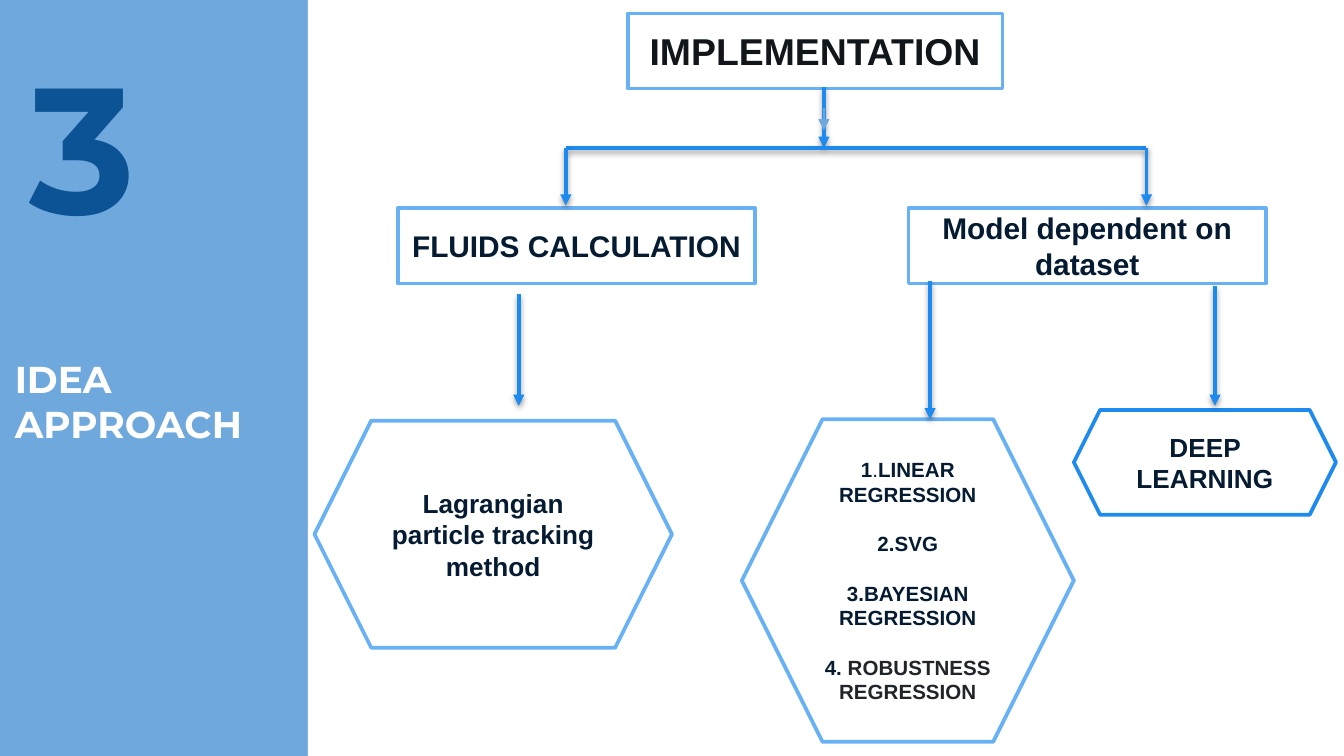
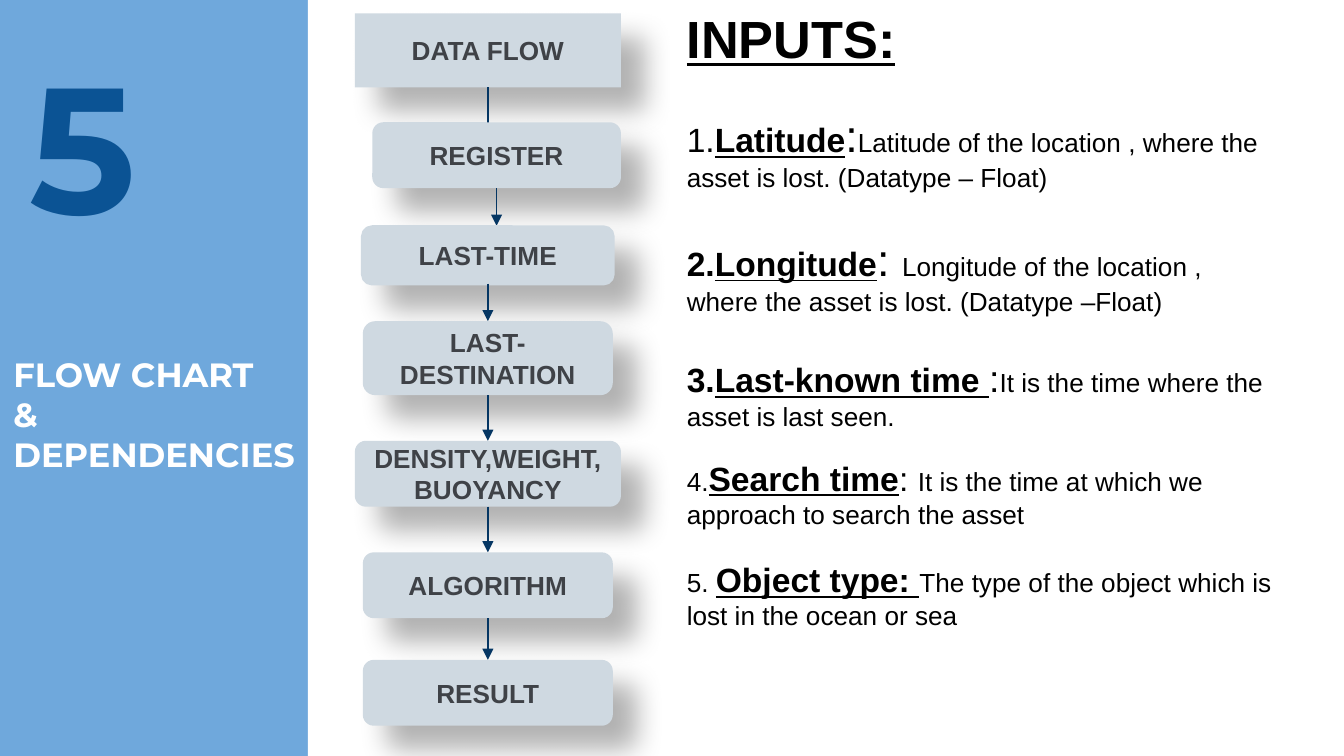
"""Build two slides on search-and-rescue modelling: an idea tree and a data flow with its inputs."""
from dataclasses import dataclass
from typing import Optional

from lxml.etree import SubElement
from pptx import Presentation
from pptx.dml.color import RGBColor
from pptx.enum.shapes import MSO_CONNECTOR as Connector, MSO_SHAPE as Preset
from pptx.enum.text import MSO_ANCHOR as Anchor, MSO_AUTO_SIZE as AutoSize, PP_ALIGN as Align
from pptx.oxml.ns import qn
from pptx.shapes.autoshape import Shape
from pptx.shapes.connector import Connector as ConnectorShape
from pptx.slide import Slide
from pptx.text.text import TextFrame
from pptx.util import Inches, Pt

SLIDE_WIDTH = 10
SLIDE_HEIGHT = SLIDE_WIDTH * 9 / 16


@dataclass(frozen=True)
class Theme:
    side_band: str = "6FA8DC"
    panel: str = "FFFFFF"
    heading: str = "FFFFFF"
    number: str = "0B5394"
    frame: str = "68B1F4"
    accent: str = "1D8AEF"
    headline: str = "11161B"
    ink: str = "041B31"
    soft_ink: str = "212529"
    step: str = "CFD9E1"
    step_ink: str = "3F4247"
    step_arrow: str = "053663"
    black: str = "000000"
    display_font: str = "Montserrat"
    text_font: str = "Arial"
    number_size: float = 96
    inputs_size: float = 28
    large: float = 20
    term: float = 18
    branch: float = 16
    normal: float = 14
    small: float = 11
    colon: float = 24
    thick: float = 2
    thin: float = 0.75


THEME = Theme()


@dataclass(frozen=True)
class Box:
    left: float
    top: float
    width: float
    height: float

    def lengths(self) -> tuple[Inches, ...]:
        return tuple(Inches(v) for v in (self.left, self.top, self.width, self.height))


@dataclass(frozen=True)
class Run:
    text: str
    size: float
    color: str = THEME.ink
    bold: bool = True
    underline: bool = False
    font: str = THEME.text_font


@dataclass(frozen=True)
class Para:
    runs: tuple[Run, ...]
    gap: float = 0
    align: Align = Align.CENTER


@dataclass(frozen=True)
class Shadow:
    opacity: int
    blur: float
    distance: float
    angle: int


@dataclass(frozen=True)
class Node:
    box: Box
    paras: tuple[Para, ...]
    preset: Preset = Preset.RECTANGLE
    fill: str = THEME.panel
    line: Optional[str] = THEME.frame
    shadow: Optional[Shadow] = None


@dataclass(frozen=True)
class Link:
    start: tuple[float, float]
    end: tuple[float, float]
    color: str = THEME.accent
    width: float = THEME.thick
    head: bool = True
    shadow: Optional[Shadow] = Shadow(38, 3.1, 1.6, 90)


@dataclass(frozen=True)
class Step:
    label: str
    box: Box
    preset: Preset = Preset.ROUNDED_RECTANGLE
    line: Optional[str] = None
    loose_tip: Optional[float] = None


STEP_SHADOW = Shadow(30, 15, 18, 45)


def rgb(color: str) -> RGBColor:
    return RGBColor.from_string(color)


def set_effects(shape: Shape | ConnectorShape, shadow: Optional[Shadow]) -> None:
    properties = shape._element.spPr
    effects = SubElement(properties, qn("a:effectLst"))
    if shadow is None:
        return
    outer = SubElement(effects, qn("a:outerShdw"), blurRad=str(Pt(shadow.blur)),
                       dist=str(Pt(shadow.distance)), dir=str(shadow.angle * 60000),
                       algn="bl", rotWithShape="0")
    tint = SubElement(outer, qn("a:srgbClr"), val=THEME.black)
    SubElement(tint, qn("a:alpha"), val=str(shadow.opacity * 1000))


def write(frame: TextFrame, paras: tuple[Para, ...], anchor: Anchor) -> None:
    frame.word_wrap = True
    frame.auto_size = AutoSize.NONE
    frame.vertical_anchor = anchor
    for index, para in enumerate(paras):
        paragraph = frame.add_paragraph() if index else frame.paragraphs[0]
        paragraph.alignment = para.align
        paragraph.space_before = Pt(para.gap)
        for part in para.runs:
            for row, line in enumerate(part.text.split("\n")):
                if row:
                    paragraph.add_line_break()
                run = paragraph.add_run()
                run.text = line
                run.font.name = part.font
                run.font.size = Pt(part.size)
                run.font.bold = part.bold
                run.font.underline = part.underline
                run.font.color.rgb = rgb(part.color)


def place(shape: Shape, box: Box) -> None:
    shape.left, shape.top, shape.width, shape.height = box.lengths()


def pad(frame: TextFrame) -> None:
    frame.margin_left = frame.margin_right = Inches(0.1)
    frame.margin_top = frame.margin_bottom = Inches(0.1)


def draw_node(slide: Slide, node: Node) -> Shape:
    shape = slide.shapes.add_shape(node.preset, *node.box.lengths())
    shape.fill.solid()
    shape.fill.fore_color.rgb = rgb(node.fill)
    if node.line:
        shape.line.color.rgb = rgb(node.line)
        shape.line.width = Pt(THEME.thick)
    else:
        shape.line.fill.background()
    set_effects(shape, node.shadow)
    if node.paras:
        write(shape.text_frame, node.paras, Anchor.MIDDLE)
    return shape


def draw_link(slide: Slide, link: Link) -> ConnectorShape:
    ends = (Inches(v) for v in (*link.start, *link.end))
    connector = slide.shapes.add_connector(Connector.STRAIGHT, *ends)
    connector.line.color.rgb = rgb(link.color)
    connector.line.width = Pt(link.width)
    if link.head:
        SubElement(connector.line._get_or_add_ln(), qn("a:tailEnd"), type="triangle")
    set_effects(connector, link.shadow)
    return connector


def draw_section(slide: Slide, number: str, title: str, title_box: Box, title_size: float) -> None:
    panel_box = Box(2.29, 0, SLIDE_WIDTH - 2.29, SLIDE_HEIGHT)
    panel = draw_node(slide, Node(panel_box, (), line=None))
    slide.shapes._spTree.insert(2, panel._element)
    heading = slide.shapes.title
    place(heading, title_box)
    badge = slide.shapes.add_textbox(*Box(0.12, 0.16, 1.98, 1.37).lengths())
    for holder, text, size, color in ((heading, title, title_size, THEME.heading),
                                      (badge, number, THEME.number_size, THEME.number)):
        pad(holder.text_frame)
        run = Run(text, size, color, font=THEME.display_font)
        write(holder.text_frame, (Para((run,), align=Align.LEFT),), Anchor.TOP)


def label(text: str, size: float, color: str = THEME.ink) -> tuple[Para, ...]:
    return tuple(Para((Run(line, size, color),)) for line in text.split("\n"))


METHOD_GAP = 13.2
METHODS = (
    Para((Run("1", THEME.small), Run(".", THEME.small, bold=False),
          Run("LINEAR REGRESSION", THEME.small))),
    Para((Run("2.SVG", THEME.small),), METHOD_GAP),
    Para((Run("3.BAYESIAN REGRESSION", THEME.small),), METHOD_GAP),
    Para((Run("4. ", THEME.small),
          Run("ROBUSTNESS REGRESSION", THEME.small, THEME.soft_ink)), METHOD_GAP),
)
TREE = (
    Node(Box(4.67, 0.1, 2.79, 0.56), label("IMPLEMENTATION", THEME.large, THEME.headline)),
    Node(Box(2.96, 1.55, 2.66, 0.56), label("FLUIDS CALCULATION", THEME.branch)),
    Node(Box(6.76, 1.55, 2.66, 0.56), label("Model dependent on dataset", THEME.branch)),
    Node(Box(5.52, 3.12, 2.47, 2.4), METHODS, Preset.HEXAGON),
    Node(Box(2.34, 3.13, 2.66, 1.69),
         label("Lagrangian particle tracking\nmethod", THEME.normal), Preset.HEXAGON),
    Node(Box(7.99, 3.05, 1.95, 0.78), label("DEEP LEARNING", THEME.normal),
         Preset.HEXAGON, line=THEME.accent),
)
TRUNK, LEFT_BRANCH, RIGHT_BRANCH, FORK = 6.13, 4.21, 8.53, 1.1
TREE_LINKS = (
    Link((TRUNK, 0.65), (TRUNK, FORK)),
    Link((LEFT_BRANCH, FORK), (RIGHT_BRANCH, FORK), head=False),
    Link((LEFT_BRANCH, FORK), (LEFT_BRANCH, 1.53)),
    Link((RIGHT_BRANCH, FORK), (RIGHT_BRANCH, 1.53)),
    Link((TRUNK, 0.8), (TRUNK, 0.97), THEME.side_band, THEME.thin, shadow=None),
    Link((3.86, 2.19), (3.86, 3.02)),
    Link((6.92, 2.09), (6.92, 3.12)),
    Link((9.04, 2.13), (9.04, 3.02)),
)
STEPS = (
    Step("DATA FLOW", Box(2.64, 0.1, 1.98, 0.55), Preset.RECTANGLE),
    Step("REGISTER", Box(2.77, 0.91, 1.85, 0.49), loose_tip=1.0),
    Step("LAST-TIME", Box(2.7, 1.69, 1.86, 0.42), line=THEME.step, loose_tip=1.68),
    Step("LAST-DESTINATION", Box(2.7, 2.39, 1.86, 0.55)),
    Step("DENSITY,WEIGHT,BUOYANCY", Box(2.64, 3.28, 1.98, 0.49)),
    Step("ALGORITHM", Box(2.7, 4.11, 1.86, 0.49)),
    Step("RESULT", Box(2.7, 4.91, 1.86, 0.49)),
)


def input_entry(number: Run, term: str, colon: str, colon_size: float, meaning: str,
                gap: float) -> Para:
    runs = [number, Run(term, THEME.term, THEME.black, underline=True)]
    if colon:
        runs.append(Run(colon, colon_size, THEME.black, bold=False))
    runs.append(Run(meaning, THEME.normal, THEME.black, bold=False))
    return Para(tuple(runs), gap, Align.LEFT)


INPUTS = (
    Para((Run("INPUTS:", THEME.inputs_size, THEME.black, underline=True),), align=Align.LEFT),
    input_entry(Run("1.", THEME.term, THEME.black, bold=False), "Latitude", ":", THEME.colon,
                "Latitude of the location , where the asset is lost. (Datatype – Float)", 20.7),
    input_entry(Run("2.", THEME.term, THEME.black), "Longitude", ": ", THEME.colon,
                "Longitude of the location , where the asset is lost. (Datatype –Float)", 20.7),
    input_entry(Run("3.", THEME.term, THEME.black), "Last-known time ", ":", THEME.large,
                "It is the time where the asset is last seen.", 20.7),
    input_entry(Run("4.", THEME.normal, THEME.black, bold=False), "Search time", ": ", THEME.term,
                "It is the time at which we approach to search the asset", 13.8),
    input_entry(Run("5. ", THEME.normal, THEME.black, bold=False), "Object type: ", "", THEME.term,
                "The type of the object which is lost in the ocean or sea", 16.1),
)


def draw_flow(slide: Slide) -> None:
    upper: Optional[Shape] = None
    upper_box: Optional[Box] = None
    for step in STEPS:
        arrow: Optional[ConnectorShape] = None
        if upper is not None and upper_box is not None:
            middle = upper_box.left + upper_box.width / 2
            tip = step.loose_tip or step.box.top
            arrow = draw_link(slide, Link((middle, upper_box.top + upper_box.height), (middle, tip),
                                          THEME.step_arrow, THEME.thin, shadow=None))
            arrow.begin_connect(upper, 2)
        shape = draw_node(slide, Node(step.box, label(step.label, THEME.normal, THEME.step_ink),
                                      step.preset, THEME.step, step.line, STEP_SHADOW))
        if arrow is not None and step.loose_tip is None:
            arrow.end_connect(shape, 0)
        upper, upper_box = shape, step.box


def draw_inputs(slide: Slide) -> None:
    body = slide.placeholders[1]
    place(body, Box(5.01, 0, 4.59, SLIDE_HEIGHT))
    write(body.text_frame, INPUTS, Anchor.TOP)
    for paragraph in body.text_frame.paragraphs:
        properties = paragraph._p.get_or_add_pPr()
        properties.set("marL", "0")
        properties.set("indent", "0")
        SubElement(properties, qn("a:buNone"))


def main() -> None:
    deck = Presentation()
    deck.slide_width, deck.slide_height = Inches(SLIDE_WIDTH), Inches(SLIDE_HEIGHT)
    backdrop = deck.slide_master.background.fill
    backdrop.solid()
    backdrop.fore_color.rgb = rgb(THEME.side_band)

    idea = deck.slides.add_slide(deck.slide_layouts[5])
    draw_section(idea, "3", "IDEA\nAPPROACH", Box(0.01, 2.55, 2.2, 0.94), THEME.large)
    for node in TREE:
        draw_node(idea, node)
    for link in TREE_LINKS:
        draw_link(idea, link)

    flow = deck.slides.add_slide(deck.slide_layouts[1])
    draw_section(flow, "5", "FLOW CHART\n& DEPENDENCIES", Box(0, 2.53, 2.33, 1.83), THEME.term)
    draw_flow(flow)
    draw_inputs(flow)
    deck.save("out.pptx")


if __name__ == "__main__":
    main()
